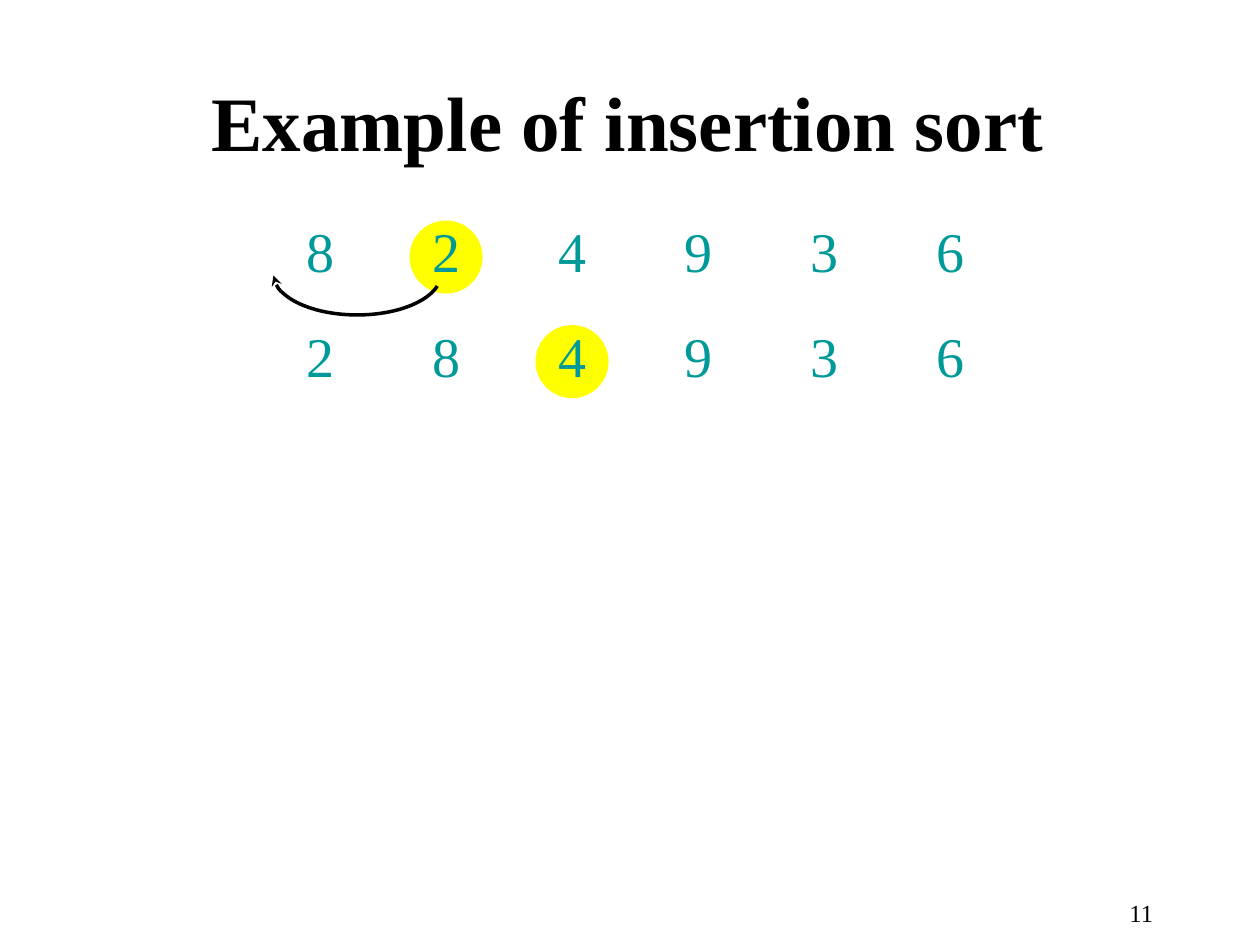
from pptx import Presentation
from pptx.dml.color import RGBColor
from pptx.enum.shapes import MSO_SHAPE as Shape
from pptx.enum.text import MSO_ANCHOR as Anchor, MSO_AUTO_SIZE as AutoSize, PP_ALIGN as Align
from pptx.oxml.ns import qn
from pptx.util import Inches, Pt
from lxml.etree import SubElement

COLORS = {"ink": "000000", "digit": "009999", "highlight": "FFFF00"}
FONT = "Times New Roman"
COLUMN = 1.0                      # distance between neighbouring digits
DIGIT_WIDTH, DIGIT_HEIGHT = 0.42, 0.64
DISC = 0.58
ARC_DEGREE = 0.6                  # one degree in the arc's adjustment units


def color(name):
    return RGBColor.from_string(COLORS[name])


def inches(box):
    return [Inches(length) for length in box]


def add_text(shapes, box, text, size, ink="ink", align=Align.LEFT,
             anchor=Anchor.TOP, bold=False, wrap=True):
    text_box = shapes.add_textbox(*inches(box))
    frame = text_box.text_frame
    frame.word_wrap = wrap
    frame.auto_size = AutoSize.NONE if wrap else AutoSize.SHAPE_TO_FIT_TEXT
    frame.vertical_anchor = anchor
    para = frame.paragraphs[0]
    para.alignment = align
    span = para.add_run()
    span.text = text
    span.font.name, span.font.size, span.font.bold = FONT, Pt(size), bold
    span.font.color.rgb = color(ink)


def add_digit_row(shapes, left, top, digits, current):
    """Place one state of the list, with a disc behind the current item."""
    # Disc
    disc = shapes.add_shape(Shape.OVAL, *inches(
        (left + current * COLUMN - 0.08, top + 0.08, DISC, DISC)))
    disc.shadow.inherit = False
    disc.fill.solid()
    disc.fill.fore_color.rgb = color("highlight")
    disc.line.fill.background()

    # Digits
    for column, digit in enumerate(digits):
        box = (left + column * COLUMN, top, DIGIT_WIDTH, DIGIT_HEIGHT)
        add_text(shapes, box, digit, 32, "digit", Align.CENTER, wrap=False)


def add_move_arrow(shapes, box):
    """Curve under the row, from the current item to its new place."""
    arc = shapes.add_shape(Shape.ARC, *inches(box))
    arc.shadow.inherit = False
    arc.fill.background()
    arc.adjustments[0] = 8.5 * ARC_DEGREE
    arc.adjustments[1] = 179 * ARC_DEGREE
    arc.line.color.rgb = color("ink")
    arc.line.width = Pt(2)
    outline = arc.element.spPr.find(qn("a:ln"))
    SubElement(outline, qn("a:tailEnd"), type="stealth")


def build_slide(page):
    # Title
    add_text(page.shapes, (1.58, 0.33, 8.25, 1.25), "Example of insertion sort",
             44, anchor=Anchor.MIDDLE, bold=True)

    # First step, grouped with its arrow
    step = page.shapes.add_group_shape()
    add_digit_row(step.shapes, 2.33, 1.67, "824936", current=1)
    add_move_arrow(step.shapes, (2.17, 1.85, 1.33, 0.65))

    # Second step
    add_digit_row(page.shapes, 2.33, 2.5, "284936", current=2)

    # Page number
    add_text(page.shapes, (7.17, 7.08, 2.08, 0.25), "11", 14, align=Align.RIGHT)


def main():
    deck = Presentation()
    deck.slide_width, deck.slide_height = Inches(10), Inches(7.5)
    build_slide(deck.slides.add_slide(deck.slide_layouts[6]))
    deck.save("out.pptx")


if __name__ == "__main__":
    main()
